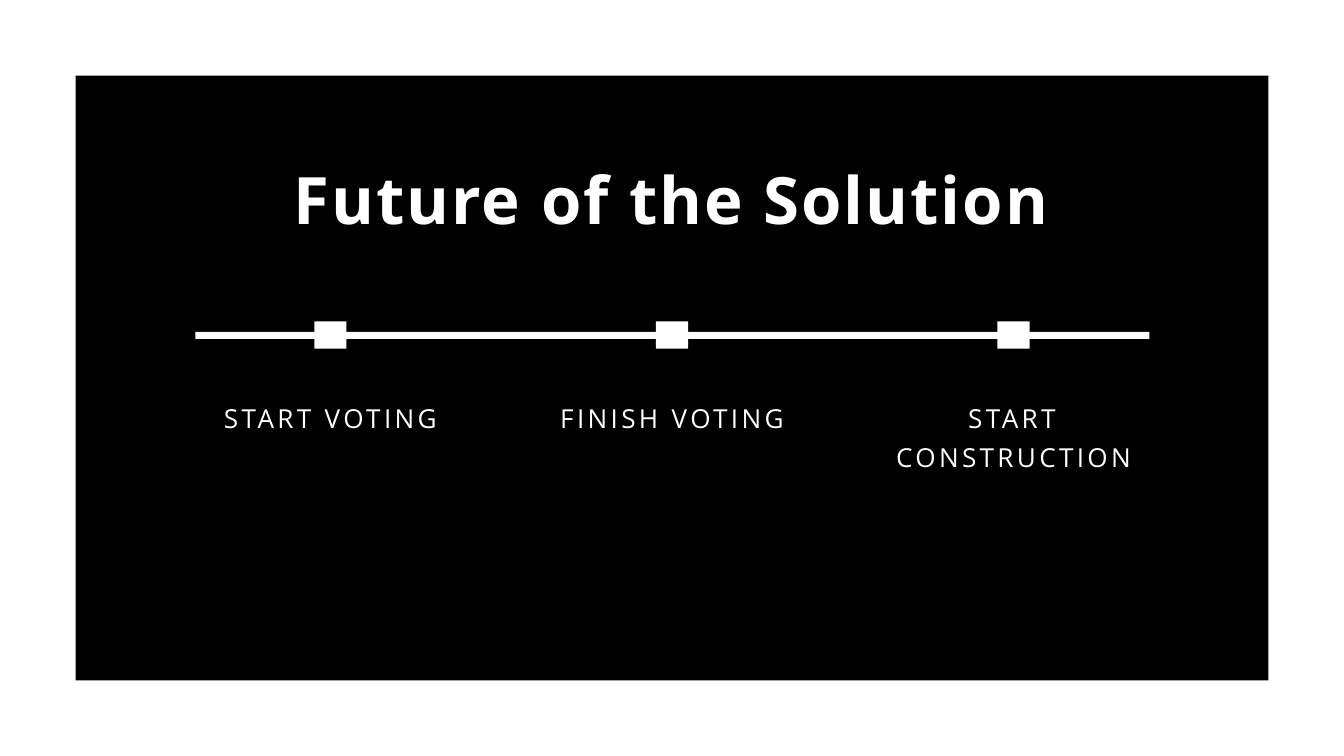
from pptx import Presentation
from pptx.dml.color import RGBColor
from pptx.enum.shapes import MSO_SHAPE
from pptx.enum.text import MSO_ANCHOR, MSO_AUTO_SIZE, PP_ALIGN
from pptx.util import Emu, Pt

RECT = MSO_SHAPE.RECTANGLE
CENTER = PP_ALIGN.CENTER
TOP = MSO_ANCHOR.TOP
GROW = MSO_AUTO_SIZE.SHAPE_TO_FIT_TEXT

FONT = "Open Sans"
BLACK = "000000"
WHITE = "FFFFFF"
TITLE_ONLY = 5


def px(n):
    return Emu(n * 9525)


def color(code):
    return RGBColor.from_string(code)


class Deck:
    """Holds the style and the current slide."""

    def __init__(self, wide, high):
        self.prs = Presentation()
        self.prs.slide_width, self.prs.slide_height = px(wide), px(high)
        self.slide = self.prs.slides.add_slide(self.prs.slide_layouts[TITLE_ONLY])
        self.shapes = self.slide.shapes

    def back(self, code):
        fill = self.slide.background.fill
        fill.solid()
        fill.fore_color.rgb = color(code)

    def block(self, box, code, home=None):
        shape = (home or self.shapes).add_shape(RECT, *map(px, box))
        shape.shadow.inherit = False
        shape.fill.solid()
        shape.fill.fore_color.rgb = color(code)
        shape.line.fill.background()

    def text(self, shape, words, size, lead, gap, bold=False):
        frame = shape.text_frame
        frame.margin_left = frame.margin_right = 0
        frame.margin_top = frame.margin_bottom = 0
        frame.word_wrap = True
        frame.auto_size = GROW
        frame.vertical_anchor = TOP
        para = frame.paragraphs[0]
        para.alignment = CENTER
        para.line_spacing = Pt(lead)
        run = para.add_run()
        run.text = words
        font = run.font
        font.name, font.size, font.bold = FONT, Pt(size), bold
        font.color.rgb = color(WHITE)
        # Letter spacing in hundredths of a point
        run._r.get_or_add_rPr().set("spc", str(gap))

    def title(self, box, words):
        shape = self.shapes.title
        shape.left, shape.top, shape.width, shape.height = map(px, box)
        self.text(shape, words, 70, 84, 210, bold=True)
        # Bring the title in front of the panel
        self.shapes._spTree.append(shape._element)

    def step(self, mid, words, high):
        group = self.shapes.add_group_shape().shapes
        label = group.add_textbox(*map(px, (mid - 193, 564, 386, high)))
        self.text(label, words, 28, 42, 360)
        self.block((mid - 23, 459, 46, 39), WHITE, group)


def main():
    deck = Deck(1920, 1080)

    # Panel and title
    deck.back(WHITE)
    deck.block((108, 108, 1704, 864), BLACK)
    deck.title((188, 227, 1543, 112), "Future of the Solution")

    # Timeline with evenly spaced steps
    deck.block((279, 474, 1363, 10), WHITE)
    steps = [("START VOTING", 51), ("FINISH VOTING", 51), ("START CONSTRUCTION", 106)]
    for i, (words, high) in enumerate(steps):
        deck.step(960 + (i - 1) * 488, words, high)

    deck.prs.save("out.pptx")


if __name__ == "__main__":
    main()
